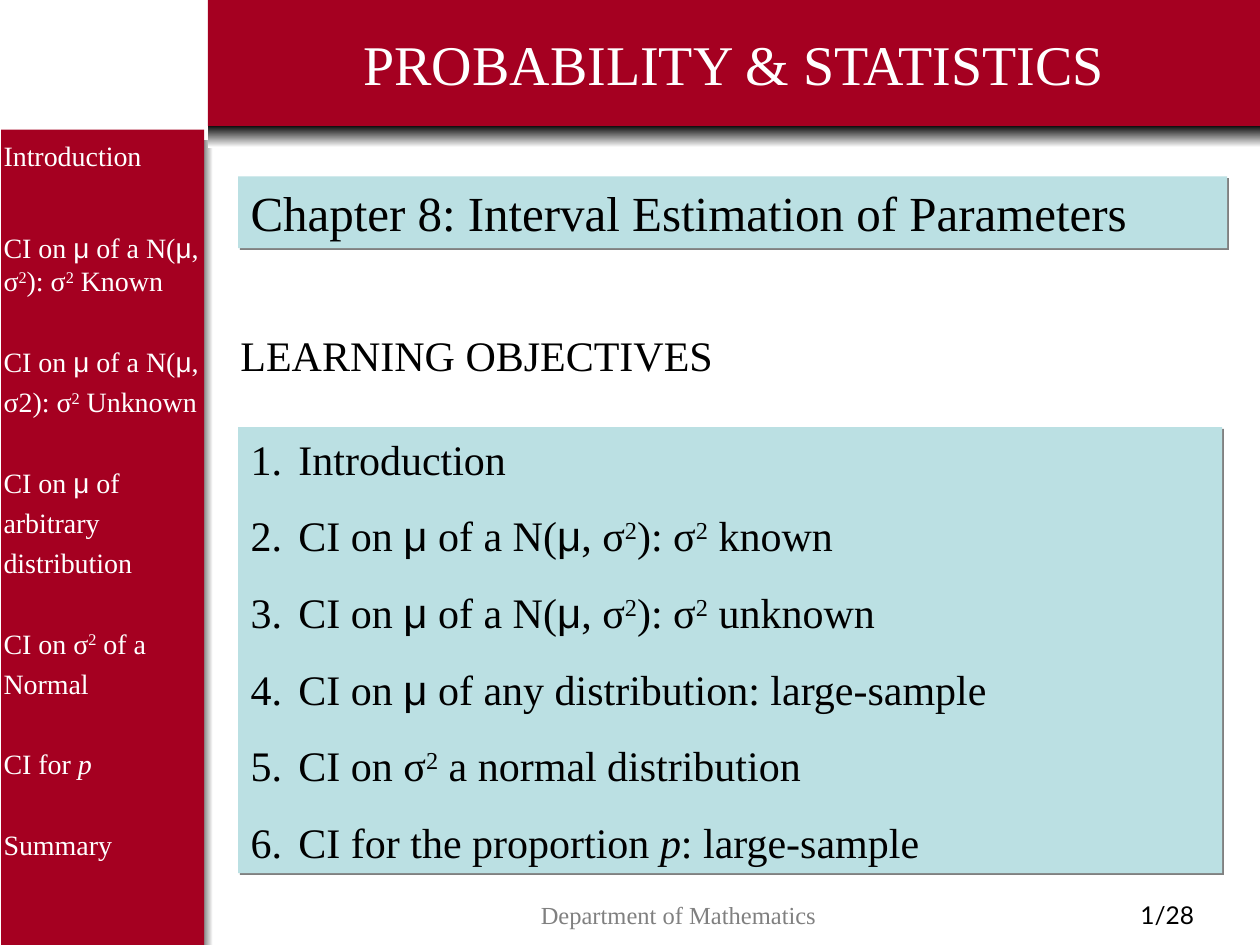
from pptx import Presentation
from pptx.dml.color import RGBColor
from pptx.enum.shapes import MSO_SHAPE
from pptx.enum.text import MSO_ANCHOR, PP_ALIGN
from pptx.oxml.ns import qn
from pptx.util import Inches, Pt
from lxml.etree import SubElement

RECT = MSO_SHAPE.RECTANGLE
TOP, MIDDLE = MSO_ANCHOR.TOP, MSO_ANCHOR.MIDDLE
LEFT, CENTER = PP_ALIGN.LEFT, PP_ALIGN.CENTER
RED = RGBColor(0xA5, 0x00, 0x21)
TEAL = RGBColor(0xBB, 0xE0, 0xE3)
WHITE = RGBColor(0xFF, 0xFF, 0xFF)
BLACK = RGBColor(0, 0, 0)
GRAY = RGBColor(0x80, 0x80, 0x80)
SERIF, SANS, LATO = "Times New Roman", "Arial", "Lato"

MENU = [
    ("Introduction", 0, 1.2),
    ("CI on |μ| of a N(|μ|, σ|2|): σ|2| Known", 33, 1.0),
    ("CI on |μ| of a N(|μ|, σ2): σ|2| Unknown", 23, 1.2),
    ("CI on |μ| of arbitrary distribution", 23, 1.2),
    ("CI on σ|2| of a Normal", 23, 1.2),
    ("CI for |p", 23, 1.2),
    ("Summary", 23, 1.2),
]
GOALS = [
    "Introduction",
    "CI on |μ| of a N(|μ|, σ|2|): σ|2| known",
    "CI on |μ| of a N(|μ|, σ|2|): σ|2| unknown",
    "CI on |μ| of any distribution: large-sample",
    "CI on σ|2| a normal distribution",
    "CI for the proportion |p|: large-sample",
]


class Deck:
    """Holds the text style and the current slide, and draws its elements."""

    def __init__(self, slide):
        self.slide = slide
        self.font = SERIF

    def rect(self, x, y, w, h, color=None):
        box = self.slide.shapes.add_shape(RECT, Inches(x), Inches(y), Inches(w), Inches(h))
        box.shadow.inherit = False
        box.line.fill.background()
        if color is not None:
            box.fill.solid()
            box.fill.fore_color.rgb = color
        return box

    def fade(self, x, y, w, h, first, last, angle):
        fill = self.rect(x, y, w, h).fill
        fill.gradient()
        fill.gradient_angle = angle
        for stop, color, at in zip(fill.gradient_stops, (first, last), (0, 1)):
            stop.color.rgb = color
            stop.position = at

    def panel(self, x, y, w, h):
        box = self.rect(x, y, w, h, TEAL)
        effects = box._element.spPr.find(qn("a:effectLst"))
        shade = SubElement(effects, qn("a:outerShdw"), blurRad="0",
                           dist=str(Pt(1.4)), dir="2700000", algn="ctr", rotWithShape="0")
        SubElement(shade, qn("a:srgbClr"), val=str(GRAY))
        return box

    def label(self, x, y, w, h):
        return self.slide.shapes.add_textbox(Inches(x), Inches(y), Inches(w), Inches(h))

    def text(self, box, rows, size, color, align=LEFT, anchor=TOP,
             number=False, font=None, top=0.05):
        frame = box.text_frame
        frame.word_wrap = True
        frame.vertical_anchor = anchor
        frame.margin_top = Inches(top)
        for i, (words, gap, lines) in enumerate(rows):
            para = frame.add_paragraph() if i else frame.paragraphs[0]
            if number:
                self.count(para)
            para.alignment = align
            para.space_before = Pt(gap)
            para.line_spacing = lines
            for part in words.split("|"):
                self.run(para, part, size, color, font or self.font)

    def count(self, para):
        props = para._p.get_or_add_pPr()
        props.set("marL", str(Inches(0.38)))
        props.set("indent", str(Inches(-0.38)))
        tint = SubElement(props, qn("a:buClr"))
        SubElement(tint, qn("a:srgbClr"), val=str(BLACK))
        SubElement(props, qn("a:buFont"), typeface=self.font)
        SubElement(props, qn("a:buAutoNum"), type="arabicPeriod")

    def run(self, para, part, size, color, font):
        run = para.add_run()
        run.text = part
        run.font.size = Pt(size)
        run.font.color.rgb = color
        run.font.name = SANS if part == "μ" else font
        if part == "p":
            run.font.italic = True
        if part == "2":
            run._r.get_or_add_rPr().set("baseline", "30000")


def main():
    show = Presentation()
    show.slide_width, show.slide_height = Inches(10), Inches(7.5)
    deck = Deck(show.slides.add_slide(show.slide_layouts[6]))

    deck.fade(1.54, 1.11, 0.15, 6.39, WHITE, BLACK, 180)
    deck.rect(0.01, 1.03, 1.61, 6.47, RED)
    deck.fade(1.65, 0.99, 8.35, 0.18, BLACK, WHITE, 270)
    deck.text(deck.label(-0.07, 1, 1.77, 6.21), MENU, 16, WHITE)

    deck.text(deck.label(8.53, 6.86, 1.47, 0.64), [("1/28", 0, 1.0)], 14, BLACK,
              CENTER, font=LATO, top=0.28)
    deck.text(deck.label(2.34, 6.86, 6.09, 0.64), [("Department of Mathematics", 0, 1.0)],
              14, GRAY, CENTER, top=0.28)

    deck.text(deck.rect(1.65, 0, 8.35, 1, RED), [("PROBABILITY & STATISTICS", 0, 1.0)],
              32, WHITE, CENTER, MIDDLE)
    deck.text(deck.label(1.81, 2.57, 7.02, 0.5), [("LEARNING OBJECTIVES", 0, 1.0)], 24, BLACK)
    goals = [(goal, 15 if i else 0, 1.0) for i, goal in enumerate(GOALS)]
    deck.text(deck.panel(1.89, 3.39, 7.81, 3.54), goals, 24, BLACK, number=True)
    deck.text(deck.panel(1.89, 1.4, 7.85, 0.57),
              [("Chapter 8: Interval Estimation of Parameters", 0, 1.0)], 28, BLACK)
    show.save("out.pptx")


if __name__ == "__main__":
    main()
